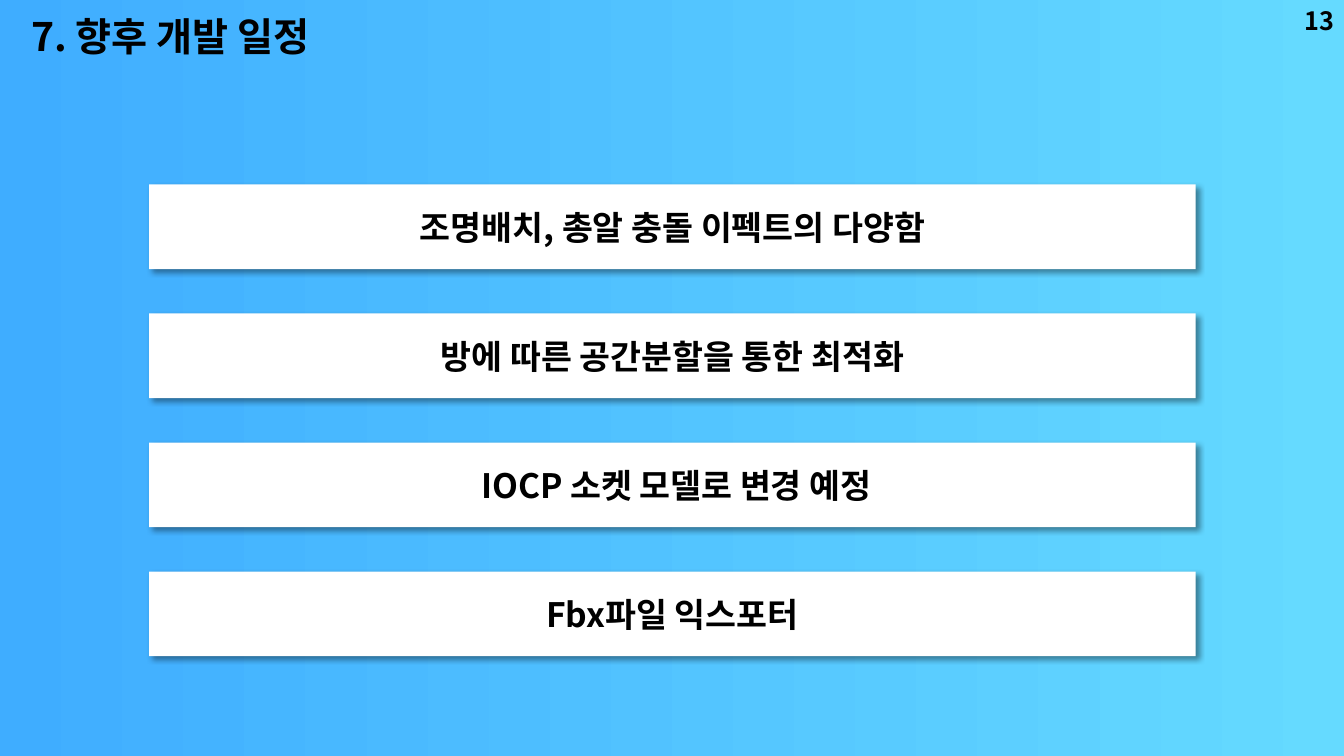
from dataclasses import dataclass

from lxml.etree import SubElement
from pptx import Presentation
from pptx.dml.color import RGBColor
from pptx.enum.shapes import MSO_SHAPE
from pptx.enum.text import MSO_ANCHOR, MSO_AUTO_SIZE, PP_ALIGN
from pptx.oxml.ns import qn
from pptx.shapes.autoshape import Shape
from pptx.slide import Slide
from pptx.util import Emu, Inches, Pt

SLIDE_WIDTH, SLIDE_HEIGHT = Inches(13.33), Inches(7.5)
TYPEFACE = "Noto Sans CJK KR"
BLACK, WHITE = "000000", "FFFFFF"
SKY_GRADIENT = ("3FADFF", "65DAFF")

PLANS = (
    "조명배치, 총알 충돌 이펙트의 다양함",
    "방에 따른 공간분할을 통한 최적화",
    " IOCP 소켓 모델로 변경 예정",
    "Fbx파일 익스포터",
)
FIRST_PLAN_TOP, PLAN_PITCH = 24.4, 17.07


@dataclass(frozen=True)
class Area:
    """A rectangle in percent of the slide's width and height."""
    left: float
    top: float
    width: float
    height: float

    def emu(self) -> tuple[Emu, Emu, Emu, Emu]:
        return (
            Emu(round(SLIDE_WIDTH * self.left / 100)),
            Emu(round(SLIDE_HEIGHT * self.top / 100)),
            Emu(round(SLIDE_WIDTH * self.width / 100)),
            Emu(round(SLIDE_HEIGHT * self.height / 100)),
        )


@dataclass(frozen=True)
class Label:
    text: str
    area: Area
    size: int
    align: PP_ALIGN = PP_ALIGN.LEFT
    anchor: MSO_ANCHOR = MSO_ANCHOR.MIDDLE
    wrap: bool = True


def colour(value: str) -> RGBColor:
    return RGBColor.from_string(value)


def write(holder: Shape, label: Label) -> None:
    frame = holder.text_frame
    frame_format = {"word_wrap": label.wrap, "vertical_anchor": label.anchor}
    if not label.wrap:
        frame_format["auto_size"] = MSO_AUTO_SIZE.SHAPE_TO_FIT_TEXT
    for name, value in frame_format.items():
        setattr(frame, name, value)
    paragraph = frame.paragraphs[0]
    paragraph.alignment = label.align
    run = paragraph.add_run()
    run.text = label.text
    for name, value in {"name": TYPEFACE, "size": Pt(label.size), "bold": True}.items():
        setattr(run.font, name, value)
    run.font.color.rgb = colour(BLACK)
    # Hangul takes its typeface from the East Asian slot.
    SubElement(run.font._element, qn("a:ea"), typeface=TYPEFACE)


def add_rectangle(slide: Slide, area: Area) -> Shape:
    rectangle = slide.shapes.add_shape(MSO_SHAPE.RECTANGLE, *area.emu())
    rectangle.shadow.inherit = False
    rectangle.line.fill.background()
    return rectangle


def add_backdrop(slide: Slide) -> None:
    fill = add_rectangle(slide, Area(0, 0, 100, 100)).fill
    fill.gradient()
    fill.gradient_angle = 0
    for stop, position, value in zip(fill.gradient_stops, (0, 1), SKY_GRADIENT):
        stop.position = position
        stop.color.rgb = colour(value)


def add_drop_shadow(card: Shape) -> None:
    effects = card._element.spPr.find(qn("a:effectLst"))
    shadow = SubElement(
        effects, qn("a:outerShdw"), blurRad=str(Pt(4)), dist=str(Pt(3)),
        dir=str(45 * 60000), algn="tl", rotWithShape="0",
    )
    tint = SubElement(shadow, qn("a:srgbClr"), val=BLACK)
    SubElement(tint, qn("a:alpha"), val="40000")


def add_card(slide: Slide, label: Label) -> None:
    card = add_rectangle(slide, label.area)
    card.fill.solid()
    card.fill.fore_color.rgb = colour(WHITE)
    add_drop_shadow(card)
    write(card, label)


def add_caption(slide: Slide, label: Label) -> None:
    write(slide.shapes.add_textbox(*label.area.emu()), label)


def main() -> None:
    deck = Presentation()
    deck.slide_width, deck.slide_height = SLIDE_WIDTH, SLIDE_HEIGHT
    slide = deck.slides.add_slide(deck.slide_layouts[6])

    add_backdrop(slide)
    add_caption(slide, Label("7. 향후 개발 일정", Area(1.58, 0.93, 24.76, 7.6), 28,
                             anchor=MSO_ANCHOR.TOP, wrap=False))
    add_caption(slide, Label("13", Area(77.49, 0, 22.51, 5.33), 18, PP_ALIGN.RIGHT))
    for row, plan in enumerate(PLANS):
        area = Area(11.1, FIRST_PLAN_TOP + row * PLAN_PITCH, 77.87, 11.2)
        add_card(slide, Label(plan, area, 24, PP_ALIGN.CENTER))

    deck.save("out.pptx")


if __name__ == "__main__":
    main()
